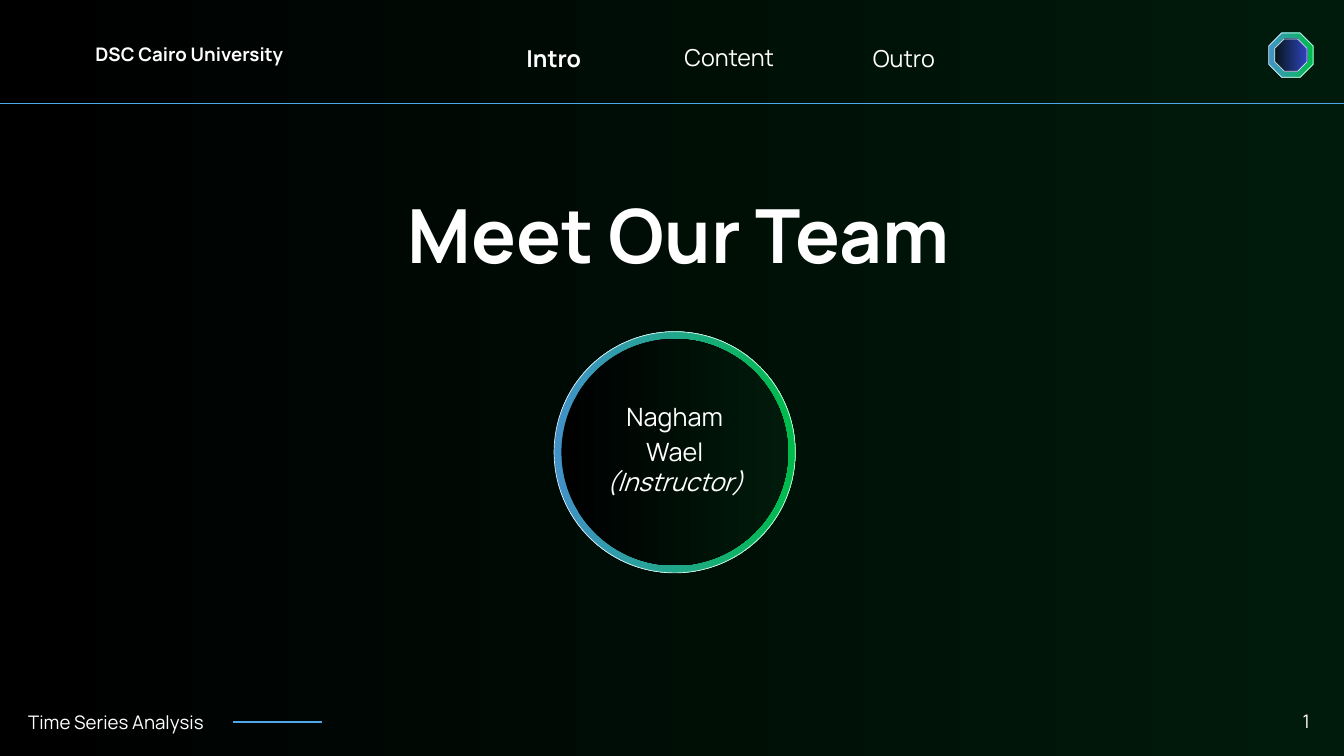
from lxml import etree
from pptx import Presentation
from pptx.dml.color import RGBColor
from pptx.enum.shapes import MSO_CONNECTOR, MSO_SHAPE
from pptx.enum.text import MSO_ANCHOR, MSO_AUTO_SIZE, PP_ALIGN
from pptx.oxml.ns import qn
from pptx.util import Inches, Pt

OCTAGON, OVAL = MSO_SHAPE.OCTAGON, MSO_SHAPE.OVAL
STRAIGHT = MSO_CONNECTOR.STRAIGHT
LEFT, CENTER = PP_ALIGN.LEFT, PP_ALIGN.CENTER
TOP, NO_AUTOFIT = MSO_ANCHOR.TOP, MSO_AUTO_SIZE.NONE

FONT = "Manrope"
WHITE = "FFFFFF"
BLUE = "4DA8EA"
NIGHT = ("000000", "001B0C")
ACCENT = (BLUE, "00D856")
GEM = ("000000", "3533CD")

TITLE = ("Meet Our Team", (5.34, 2.99, 9.52, 1.28), CENTER, 83.2, {"size": Pt(80), "bold": True})

# text, (left, top, width, height), alignment, line spacing in points, font
TEXTS = [
    ("Intro", (7.43, 0.59, 1.62, 0.48), CENTER, 35, {"size": Pt(25), "bold": True}),
    ("Content", (10.04, 0.57, 1.62, 0.48), CENTER, 35, {"size": Pt(25)}),
    ("Outro", (12.64, 0.59, 1.62, 0.48), CENTER, 35, {"size": Pt(25)}),
    ("DSC Cairo University", (1.42, 0.68, 3, 0.32), LEFT, 20.8, {"size": Pt(20), "bold": True}),
    ("Time Series Analysis", (0.42, 10.52, 3.05, 0.38), LEFT, 28, {"size": Pt(20)}),
    ("1", (19.2, 10.51, 0.48, 0.39), CENTER, 28, {"size": Pt(20)}),
    ("Nagham Wael", (8.9, 5.9, 2.28, 1.03), CENTER, 37.8, {"size": Pt(27)}),
    ("(Instructor)", (8.97, 6.86, 2.14, 0.51), CENTER, 37.8, {"size": Pt(27), "italic": True}),
]

# preset, centre x, centre y, diameter, gradient, opacity in percent, outlined
BADGES = [
    (OCTAGON, 19.21, 0.82, 0.66, ACCENT, 85, True),
    (OCTAGON, 19.21, 0.82, 0.48, GEM, 85, True),
    (OVAL, 10.04, 6.73, 3.59, ACCENT, 85, True),
    (OVAL, 10.04, 6.73, 3.37, NIGHT, 100, False),
]

# start x, end x, y, width in points
RULES = [(0, 20, 1.54, 1.5), (3.47, 4.79, 10.74, 2)]


def color(value):
    return RGBColor.from_string(value)


def fill_gradient(fill, colors):
    fill.gradient()
    fill.gradient_angle = 0
    for stop, value in zip(fill.gradient_stops, colors):
        stop.color.rgb = color(value)


def add_badge(slide, preset, center_x, center_y, diameter, colors, opacity, outlined):
    left, top = center_x - diameter / 2, center_y - diameter / 2
    shape = slide.shapes.add_shape(preset, *map(Inches, (left, top, diameter, diameter)))
    shape.shadow.inherit = False
    fill_gradient(shape.fill, colors)
    if outlined:
        shape.line.color.rgb = color(WHITE)
        shape.line.width = Pt(0.75)
    else:
        shape.line.fill.background()
    if opacity < 100:
        for element in shape.element.spPr.iter(qn("a:srgbClr")):
            etree.SubElement(element, qn("a:alpha"), val=str(opacity * 1000))


def add_rule(slide, start, end, y, width):
    rule = slide.shapes.add_connector(STRAIGHT, *map(Inches, (start, y, end, y)))
    rule.line.color.rgb = color(BLUE)
    rule.line.width = Pt(width)
    etree.SubElement(rule.element.spPr, qn("a:effectLst"))


def write_text(shape, text, box, alignment, spacing, font):
    shape.left, shape.top, shape.width, shape.height = map(Inches, box)
    frame = shape.text_frame
    frame_format = {"margin_left": 0, "margin_top": 0, "margin_right": 0, "margin_bottom": 0,
                    "word_wrap": True, "auto_size": NO_AUTOFIT, "vertical_anchor": TOP}
    for name, value in frame_format.items():
        setattr(frame, name, value)
    paragraph = frame.paragraphs[0]
    paragraph.alignment = alignment
    paragraph.line_spacing = Pt(spacing)
    paragraph.space_before = Pt(0)
    run = paragraph.add_run()
    run.text = text
    for name, value in {"name": FONT, **font}.items():
        setattr(run.font, name, value)
    run.font.color.rgb = color(WHITE)


def main():
    presentation = Presentation()
    presentation.slide_width, presentation.slide_height = Inches(20), Inches(11.25)
    slide = presentation.slides.add_slide(presentation.slide_layouts[5])
    fill_gradient(slide.background.fill, NIGHT)
    write_text(slide.shapes.title, *TITLE)
    for badge in BADGES:
        add_badge(slide, *badge)
    for rule in RULES:
        add_rule(slide, *rule)
    for text, box, *style in TEXTS:
        write_text(slide.shapes.add_textbox(*map(Inches, box)), text, box, *style)
    presentation.save("out.pptx")


if __name__ == "__main__":
    main()
